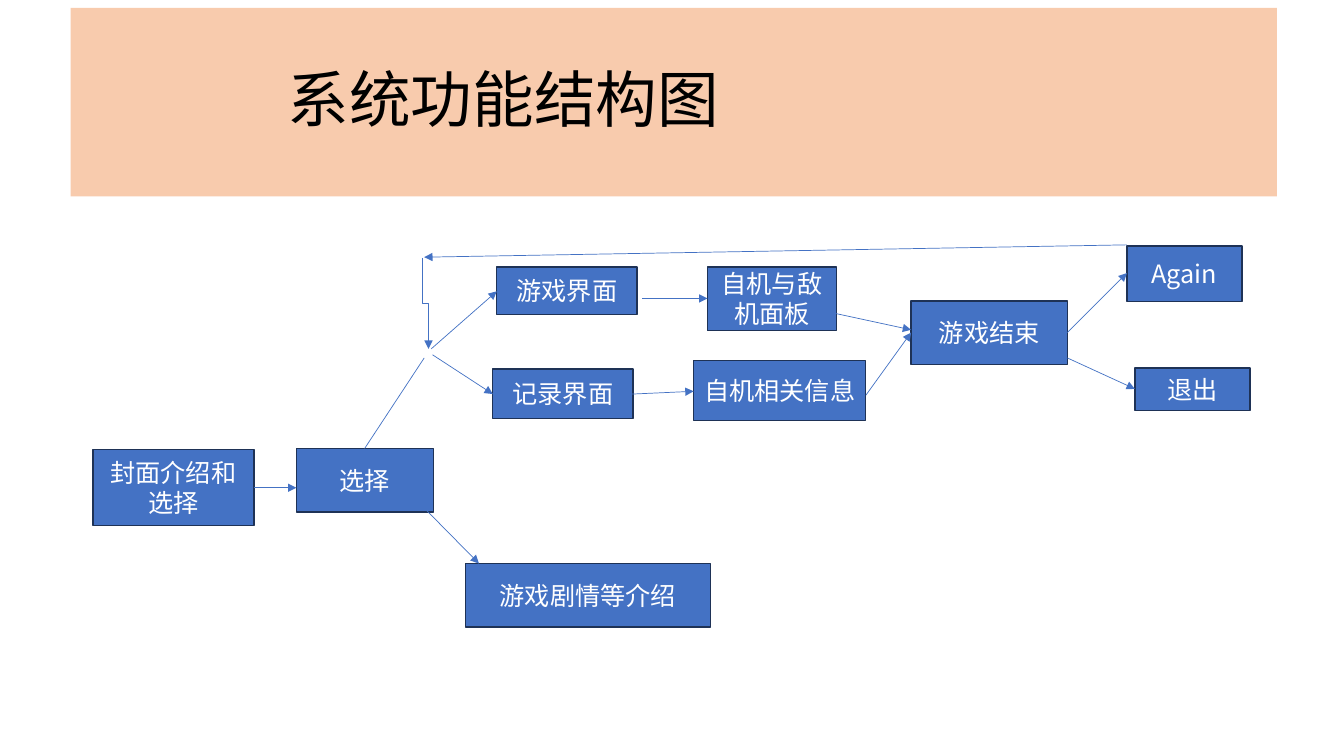
from dataclasses import dataclass

from lxml.etree import SubElement
from pptx import Presentation
from pptx.dml.color import RGBColor
from pptx.enum.shapes import MSO_CONNECTOR, MSO_SHAPE
from pptx.enum.text import MSO_ANCHOR, PP_ALIGN
from pptx.oxml.ns import qn
from pptx.util import Cm, Pt

FONT = "Noto Sans CJK SC"
COLORS = {
    "banner": "F8CBAD",
    "title": "000000",
    "box": "4472C4",
    "border": "1E3256",
    "box_text": "FFFFFF",
    "arrow": "4472C4",
}


@dataclass
class Box:
    text: str
    left: float
    top: float
    width: float
    height: float


@dataclass
class Arrow:
    start: tuple[float, float]
    end: tuple[float, float]
    head: bool = True


# Lengths in centimetres
BOXES = [
    Box("封面介绍和选择", 2.34, 11.33, 4.06, 1.91),
    Box("选择", 7.47, 11.3, 3.45, 1.6),
    Box("游戏剧情等介绍", 11.73, 14.2, 6.17, 1.6),
    Box("游戏界面", 12.52, 6.73, 3.53, 1.19),
    Box("记录界面", 12.42, 9.3, 3.53, 1.24),
    Box("自机与敌机面板", 17.83, 6.73, 3.25, 1.6),
    Box("自机相关信息", 17.48, 9.09, 4.34, 1.5),
    Box("游戏结束", 22.96, 7.59, 3.94, 1.6),
    Box("Again", 28.4, 6.2, 2.9, 1.4),
    Box("退出", 28.6, 9.27, 2.9, 1.07),
]
ARROWS = [
    Arrow((6.4, 12.29), (7.47, 12.29)),
    Arrow((9.19, 11.3), (10.69, 9.02), head=False),
    Arrow((10.69, 12.8), (12.07, 14.2)),
    Arrow((10.87, 8.79), (12.52, 7.34)),
    Arrow((10.9, 8.94), (12.42, 9.93)),
    Arrow((16.18, 7.52), (17.83, 7.52)),
    Arrow((15.93, 9.93), (17.48, 9.86)),
    Arrow((21.06, 7.9), (22.96, 8.31)),
    Arrow((21.82, 9.96), (22.96, 8.38)),
    Arrow((26.9, 8.38), (28.4, 6.88)),
    Arrow((26.9, 9.02), (28.6, 9.8)),
    Arrow((28.4, 6.17), (10.69, 6.48)),
]
RETURN_STEP = Arrow((10.64, 6.5), (10.8, 8.79))


def rgb(name: str) -> RGBColor:
    return RGBColor.from_string(COLORS[name])


def write_text(shape, text: str, *, size: float, color: str, align=PP_ALIGN.CENTER,
               line_spacing: float = 1.0, indent: float = 0) -> None:
    frame = shape.text_frame
    frame.word_wrap = True
    frame.vertical_anchor = MSO_ANCHOR.MIDDLE
    paragraph = frame.paragraphs[0]
    paragraph.alignment = align
    paragraph.line_spacing = line_spacing
    if indent:
        frame.margin_left = Cm(indent)
    run = paragraph.add_run()
    run.text = text
    run.font.size = Pt(size)
    run.font.name = FONT
    run.font.color.rgb = rgb(color)
    SubElement(run.font._element, qn("a:ea"), typeface=FONT)


def add_title(slide, text: str) -> None:
    title = slide.shapes.title
    title.left, title.top, title.width, title.height = Cm(1.78), Cm(0.2), Cm(30.4), Cm(4.75)
    title.fill.solid()
    title.fill.fore_color.rgb = rgb("banner")
    write_text(title, text, size=44, color="title", align=PP_ALIGN.LEFT,
               line_spacing=0.9, indent=5.47)


def add_box(slide, box: Box) -> None:
    shape = slide.shapes.add_shape(MSO_SHAPE.FLOWCHART_PROCESS, Cm(box.left), Cm(box.top),
                                   Cm(box.width), Cm(box.height))
    shape.shadow.inherit = False
    shape.fill.solid()
    shape.fill.fore_color.rgb = rgb("box")
    shape.line.color.rgb = rgb("border")
    shape.line.width = Pt(1)
    write_text(shape, box.text, size=18, color="box_text")


def add_arrow(slide, arrow: Arrow, kind=MSO_CONNECTOR.STRAIGHT):
    connector = slide.shapes.add_connector(kind, *map(Cm, arrow.start + arrow.end))
    connector.line.color.rgb = rgb("arrow")
    connector.line.width = Pt(0.5)
    if arrow.head:
        SubElement(connector.line._get_or_add_ln(), qn("a:tailEnd"), type="triangle")
    SubElement(connector._element.spPr, qn("a:effectLst"))
    return connector


def add_vertical_elbow(slide, arrow: Arrow) -> None:
    """Lay the elbow flat around its centre, then turn it to run downwards."""
    (left, top), (right, bottom) = arrow.start, arrow.end
    center_x, center_y = (left + right) / 2, (top + bottom) / 2
    half_length, half_step = (bottom - top) / 2, (right - left) / 2
    flat = Arrow((center_x + half_length, center_y - half_step),
                 (center_x - half_length, center_y + half_step))
    connector = add_arrow(slide, flat, MSO_CONNECTOR.ELBOW)
    connector._element.spPr.find(qn("a:xfrm")).set("rot", str(270 * 60000))


def main() -> None:
    presentation = Presentation()
    presentation.slide_width, presentation.slide_height = Cm(33.87), Cm(19.05)
    slide = presentation.slides.add_slide(presentation.slide_layouts[5])

    # Title banner
    add_title(slide, "系统功能结构图")

    # Flow chart
    for box in BOXES:
        add_box(slide, box)
    for arrow in ARROWS:
        add_arrow(slide, arrow)
    add_vertical_elbow(slide, RETURN_STEP)

    presentation.save("out.pptx")


if __name__ == "__main__":
    main()
